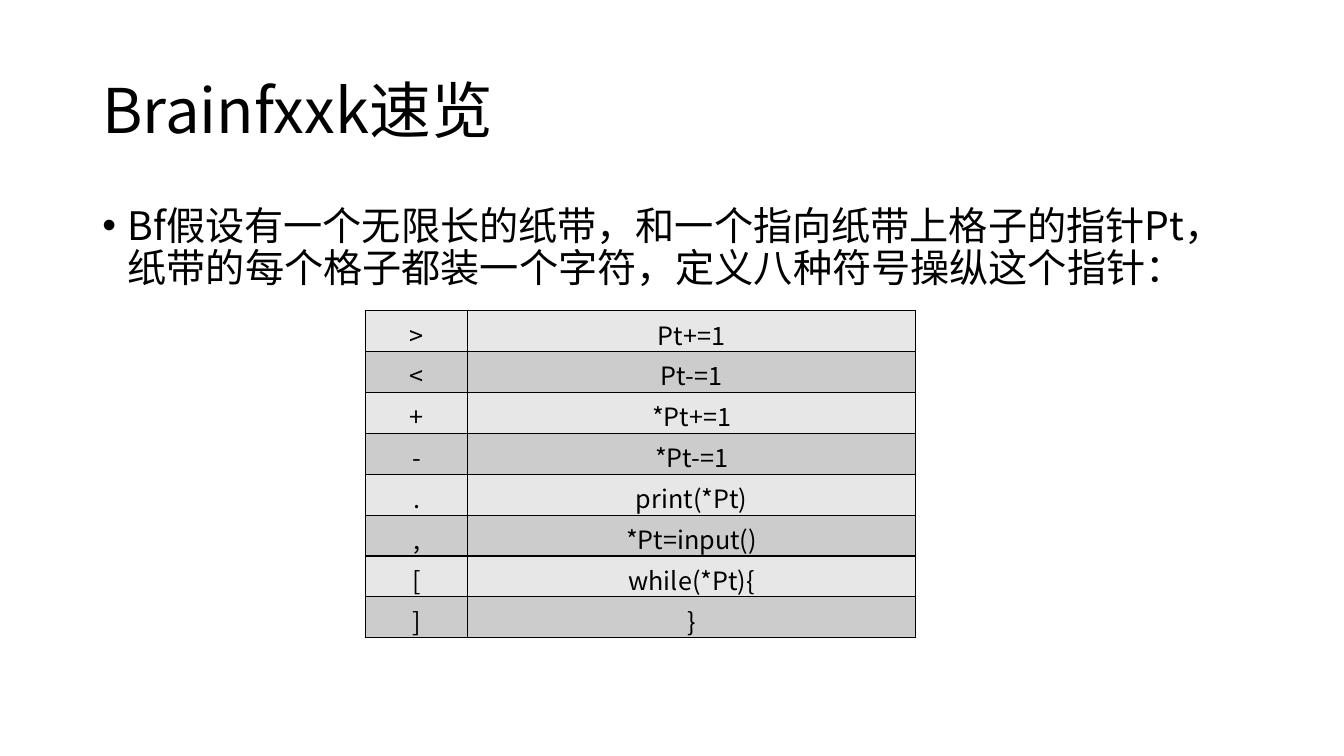
"""Build a slide that lists the eight Brainfxxk commands."""
from dataclasses import dataclass

from lxml.etree import SubElement
from pptx import Presentation
from pptx.dml.color import RGBColor
from pptx.enum.text import MSO_ANCHOR as Anchor, PP_ALIGN as Align
from pptx.oxml import parse_xml
from pptx.oxml.ns import nsdecls, qn
from pptx.util import Cm, Pt


@dataclass(frozen=True)
class Theme:
    font: str = "Noto Sans CJK SC"
    ink: str = "000000"
    bands: tuple = ("E7E7E7", "CCCCCC")
    title_size: int = 44
    body_size: int = 28
    table_size: int = 18


theme = Theme()


def write(frame, text, *, size, align=Align.LEFT, anchor=Anchor.TOP,
          line_spacing=None, space_before=0, bullet=None, indent=Cm(0.64)):
    frame.word_wrap = True
    frame.vertical_anchor = anchor
    paragraph = frame.paragraphs[0]
    paragraph.alignment = align
    paragraph.line_spacing = line_spacing
    paragraph.space_before = Pt(space_before)
    run = paragraph.add_run()
    run.text = text
    run.font.name = theme.font
    run.font.size = Pt(size)
    run.font.color.rgb = RGBColor.from_string(theme.ink)
    SubElement(run.font._element, qn("a:ea"), typeface=theme.font)
    if bullet:
        layout = paragraph._p.get_or_add_pPr()
        layout.set("marL", str(indent))
        layout.set("indent", str(-indent))
        SubElement(layout, qn("a:buFont"), typeface="Arial")
        SubElement(layout, qn("a:buChar"), char=bullet)


def add_borders(cell):
    properties = cell._tc.get_or_add_tcPr()
    for position, side in enumerate(("lnL", "lnR", "lnT", "lnB")):
        properties.insert(position, parse_xml(
            f'<a:{side} {nsdecls("a")} w="{Pt(1)}"><a:solidFill>'
            f'<a:srgbClr val="{theme.ink}"/></a:solidFill></a:{side}>'))


deck = Presentation()
deck.slide_width, deck.slide_height = Cm(33.87), Cm(19.05)
slide = deck.slides.add_slide(deck.slide_layouts[6])

title = slide.shapes.add_textbox(Cm(2.33), Cm(1.01), Cm(29.21), Cm(3.68))
write(title.text_frame, "Brainfxxk速览", size=theme.title_size,
      anchor=Anchor.MIDDLE, line_spacing=0.9)

premise = slide.shapes.add_textbox(Cm(2.33), Cm(5.07), Cm(29.21), Cm(12.09))
write(premise.text_frame,
      "Bf假设有一个无限长的纸带，和一个指向纸带上格子的指针Pt，"
      "纸带的每个格子都装一个字符，定义八种符号操纵这个指针：",
      size=theme.body_size, line_spacing=0.9, space_before=10, bullet="•")

commands = [
    (">", "Pt+=1"),
    ("<", "Pt-=1"),
    ("+", "*Pt+=1"),
    ("-", "*Pt-=1"),
    (".", "print(*Pt)"),
    (",", "*Pt=input()"),
    ("[", "while(*Pt){"),
    ("]", "}"),
]
column_widths = Cm(2.56), Cm(11.3)
row_height = Cm(1.03)
command_table = slide.shapes.add_table(
    len(commands), len(column_widths), Cm(9.22), Cm(7.83),
    sum(column_widths), row_height * len(commands)).table
command_table.first_row = False
command_table.horz_banding = False
for column, width in zip(command_table.columns, column_widths):
    column.width = width
for index, (row, command) in enumerate(zip(command_table.rows, commands)):
    row.height = row_height
    for cell, text in zip(row.cells, command):
        write(cell.text_frame, text, size=theme.table_size, align=Align.CENTER)
        cell.fill.solid()
        cell.fill.fore_color.rgb = RGBColor.from_string(theme.bands[index % 2])
        add_borders(cell)

deck.save("out.pptx")
